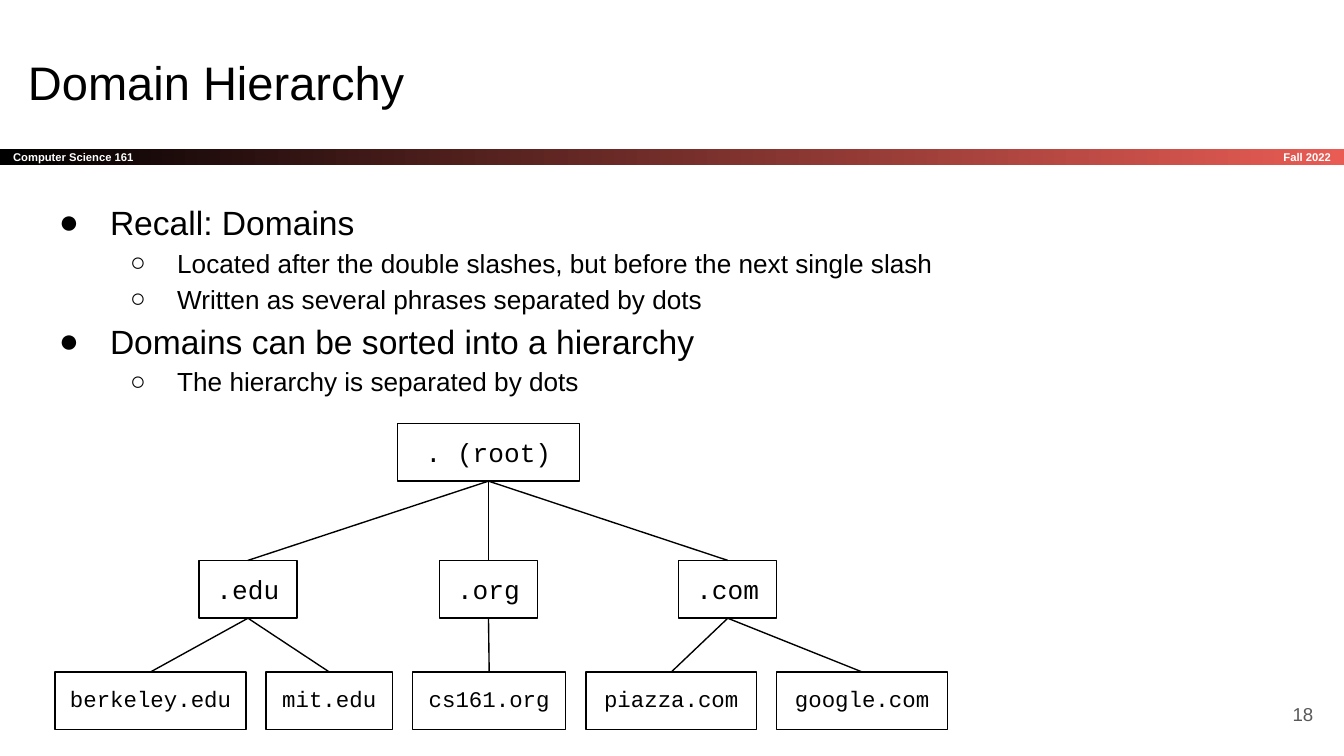
from lxml.etree import SubElement
from pptx import Presentation
from pptx.dml.color import RGBColor
from pptx.enum.shapes import MSO_CONNECTOR, MSO_SHAPE
from pptx.enum.text import MSO_ANCHOR, PP_ALIGN
from pptx.oxml.ns import qn
from pptx.util import Inches, Pt

BLACK = "000000"
WHITE = "FFFFFF"
BOX_HEIGHT = 0.43
BOTTOM, TOP = 2, 0

BULLETS = [
    (0, "Recall: Domains"),
    (1, "Located after the double slashes, but before the next single slash"),
    (1, "Written as several phrases separated by dots"),
    (0, "Domains can be sorted into a hierarchy"),
    (1, "The hierarchy is separated by dots"),
]
BULLET_LEVELS = [("●", 0.5, -0.38, 18), ("○", 1, -0.35, 14)]

TOP_LEVEL_DOMAINS = [
    (".edu", 1.48, [("berkeley.edu", 0.41, 1.42), ("mit.edu", 1.98, 0.94)]),
    (".org", 3.27, [("cs161.org", 3.07, 1.14)]),
    (".com", 5.05, [("piazza.com", 4.36, 1.27), ("google.com", 5.78, 1.27)]),
]


def color(value):
    return RGBColor.from_string(value)


def style_paragraph(paragraph, size, value=BLACK, name="Arial", bold=False):
    font = paragraph.font
    font.size = Pt(size)
    font.name = name
    font.bold = bold
    font.color.rgb = color(value)


def prepare_frame(shape, anchor=MSO_ANCHOR.TOP):
    frame = shape.text_frame
    frame.word_wrap = True
    frame.vertical_anchor = anchor
    frame.margin_left = frame.margin_right = Inches(0.1)
    frame.margin_top = frame.margin_bottom = Inches(0.1)
    return frame


def write_line(shape, text, size, value=BLACK, name="Arial", bold=False,
               align=PP_ALIGN.LEFT, anchor=MSO_ANCHOR.TOP):
    paragraph = prepare_frame(shape, anchor).paragraphs[0]
    paragraph.text = text
    paragraph.alignment = align
    style_paragraph(paragraph, size, value, name, bold)


def add_text_box(page, left, top, width, height):
    return page.shapes.add_textbox(
        Inches(left), Inches(top), Inches(width), Inches(height))


def add_rectangle(page, left, top, width, height):
    box = page.shapes.add_shape(
        MSO_SHAPE.RECTANGLE,
        Inches(left), Inches(top), Inches(width), Inches(height))
    box.shadow.inherit = False
    return box


def add_banner(page):
    bar = add_rectangle(page, 0, 1.11, 10, 0.12)
    bar.line.fill.background()
    bar.fill.gradient()
    bar.fill.gradient_angle = 0
    for stop, position, value in zip(
            bar.fill.gradient_stops, (0, 1), (BLACK, "E85C54")):
        stop.position = position
        stop.color.rgb = color(value)
    write_line(bar, "Computer Science 161", 6, WHITE, bold=True,
               anchor=MSO_ANCHOR.MIDDLE)
    term = add_text_box(page, 8.34, 1.11, 1.66, 0.12)
    write_line(term, "Fall 2022", 6, WHITE, bold=True,
               align=PP_ALIGN.RIGHT, anchor=MSO_ANCHOR.MIDDLE)


def add_bullet(paragraph, symbol, indent, hanging):
    properties = paragraph._p.get_or_add_pPr()
    properties.set("marL", str(Inches(indent)))
    properties.set("indent", str(Inches(hanging)))
    bullet_color = SubElement(properties, qn("a:buClr"))
    SubElement(bullet_color, qn("a:srgbClr")).set("val", BLACK)
    SubElement(properties, qn("a:buFont")).set("typeface", "Arial")
    SubElement(properties, qn("a:buChar")).set("char", symbol)


def add_bullet_list(page):
    frame = prepare_frame(add_text_box(page, 0.22, 1.36, 9.32, 1.74))
    for index, (level, text) in enumerate(BULLETS):
        paragraph = frame.add_paragraph() if index else frame.paragraphs[0]
        symbol, indent, hanging, size = BULLET_LEVELS[level]
        paragraph.text = text
        paragraph.level = level
        add_bullet(paragraph, symbol, indent, hanging)
        paragraph.line_spacing = 1.15
        style_paragraph(paragraph, size)


def add_domain(page, text, left, top, width, size):
    box = add_rectangle(page, left, top, width, BOX_HEIGHT)
    box.fill.background()
    box.line.color.rgb = color(BLACK)
    box.line.width = Pt(0.75)
    write_line(box, text, size, name="Courier New", align=PP_ALIGN.CENTER)
    return box


def link(page, parent, child):
    line = page.shapes.add_connector(MSO_CONNECTOR.STRAIGHT, 0, 0, 0, 0)
    line.begin_connect(parent, BOTTOM)
    line.end_connect(child, TOP)
    line.line.color.rgb = color(BLACK)
    line.line.width = Pt(0.75)
    SubElement(line._element.spPr, qn("a:effectLst"))


def add_hierarchy(page):
    root = add_domain(page, ". (root)", 2.96, 3.15, 1.35, 14)
    for name, left, sites in TOP_LEVEL_DOMAINS:
        domain = add_domain(page, name, left, 4.17, 0.73, 14)
        link(page, root, domain)
        for site, site_left, width in sites:
            link(page, domain, add_domain(page, site, site_left, 5, width, 12))


def main():
    deck = Presentation()
    deck.slide_width = Inches(10)
    deck.slide_height = Inches(10 * 9 / 16)
    page = deck.slides.add_slide(deck.slide_layouts[6])
    add_banner(page)
    title = add_text_box(page, 0.11, 0.3, 9.32, 0.63)
    write_line(title, "Domain Hierarchy", 25.2)
    add_bullet_list(page)
    number = add_text_box(page, 9.27, 5.1, 0.6, 0.43)
    write_line(number, "18", 10, "595959", align=PP_ALIGN.RIGHT,
               anchor=MSO_ANCHOR.MIDDLE)
    add_hierarchy(page)
    deck.save("out.pptx")


if __name__ == "__main__":
    main()
